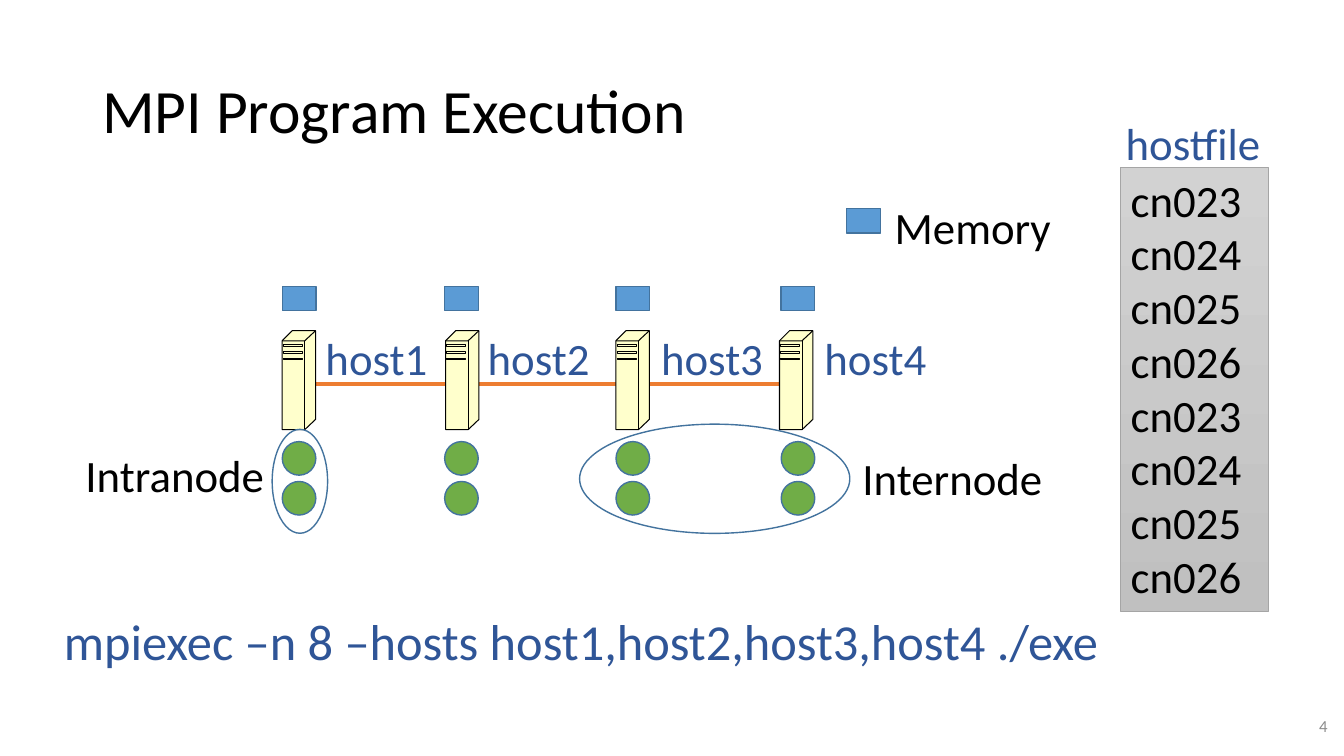
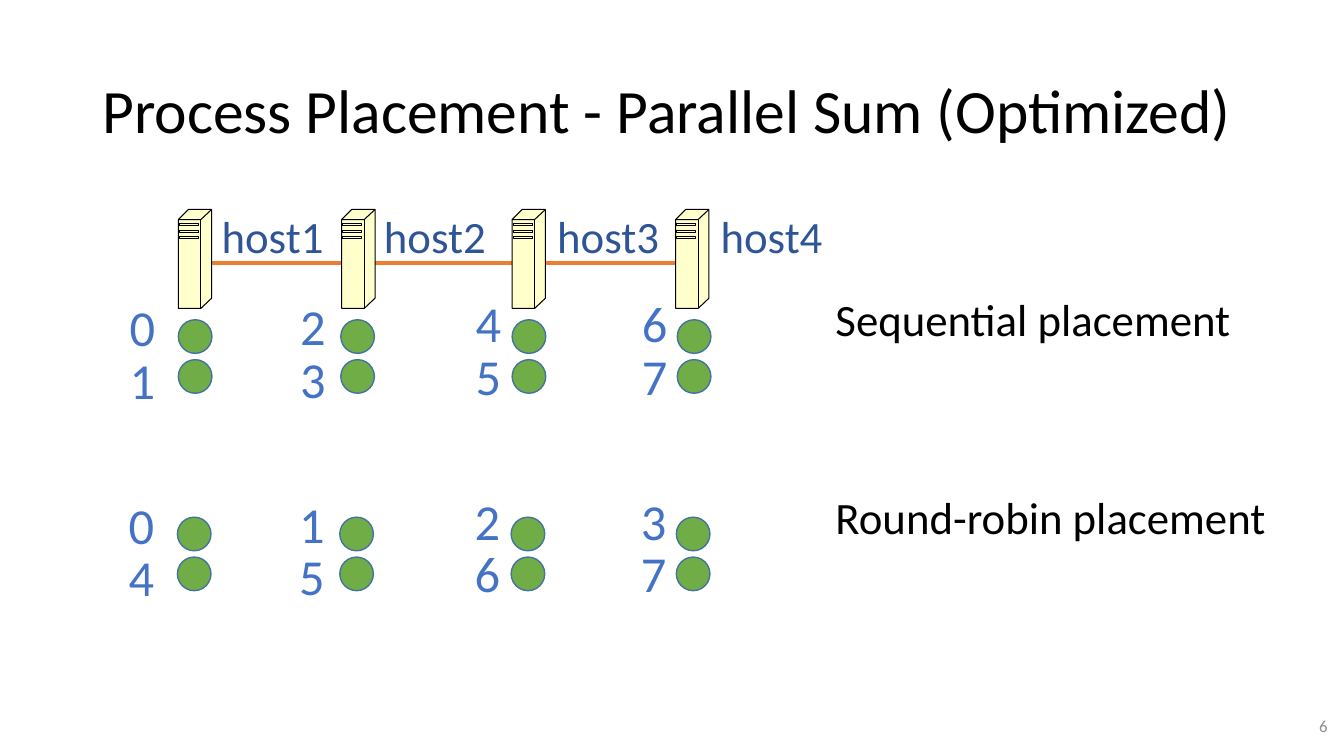
"""Build two slides on running and placing MPI processes."""
from dataclasses import dataclass

from pptx import Presentation
from pptx.dml.color import RGBColor
from pptx.enum.shapes import MSO_CONNECTOR, MSO_SHAPE
from pptx.enum.text import MSO_ANCHOR, MSO_AUTO_SIZE, PP_ALIGN
from pptx.oxml.xmlchemy import OxmlElement
from pptx.util import Pt


@dataclass(frozen=True)
class Theme:
    """Hold the colours and type sizes of the deck."""
    font: str = "Calibri"
    ink: str = "000000"
    navy: str = "2F5597"
    blue: str = "4472C4"
    mute: str = "8C8C8C"
    edge: str = "43739E"
    mem: str = "5B9BD5"
    proc: str = "70AD47"
    link: str = "ED7D31"
    case: str = "FFFFCC"
    pale: str = "D2D2D2"
    grey: str = "C0C0C0"
    rim: str = "A5A5A5"
    head: int = 44
    big: int = 36
    body: int = 32
    small: int = 12


@dataclass(frozen=True)
class Host:
    """Hold the offsets of one host's parts from the row's left edge."""
    case: float
    dot: float
    tag: float
    num: float
    rise: float


T = Theme()
HOSTS = (
    Host(0, 0, 23.8, -41.8, 20.2),
    Host(116.7, 116, 139.7, 79.9, 20.9),
    Host(238.4, 238.4, 263.5, 205.2, 23),
    Host(355.2, 356.4, 380.2, 324, 23),
)
CHIP = (24, 17.5)
DOT = 24
STEP = 28.5
CASE = ((0, 7.2), (7.2, 0), (23.8, 0), (23.8, 63.4), (16.2, 70.6), (0, 70.6))
SEAMS = (
    ((0, 7.2), (16.1, 7.2), (23.8, 0)),
    ((16.1, 7.2), (16.1, 70.6)),
) + tuple(
    ((0.9, y), (14.4, y), (14.4, y + 1.3), (0.9, y + 1.3), (0.9, y))
    for y in (10.2, 14.9, 19.6)
)


def put(obj, vals):
    """Set each attribute named in a dict of format values."""
    for key, val in vals.items():
        setattr(obj, key, val)


def paint(fill, tone):
    """Fill with a plain colour, or with nothing."""
    if tone:
        fill.solid()
        fill.fore_color.rgb = RGBColor.from_string(tone)
    else:
        fill.background()


def trim(shape, tone, edge, width):
    """Give a shape its fill and line and drop its shadow."""
    shape.shadow.inherit = False
    paint(shape.fill, tone)
    paint(shape.line.fill, edge)
    shape.line.width = Pt(width)


def write(frame, lines, size, tone, form=None, para=None):
    """Write lines of text into a frame, one paragraph each."""
    put(frame, {"word_wrap": True, "vertical_anchor": MSO_ANCHOR.TOP, **(form or {})})
    for num, line in enumerate(lines):
        part = frame.add_paragraph() if num else frame.paragraphs[0]
        put(part, {"alignment": PP_ALIGN.LEFT, **(para or {})})
        run = part.add_run()
        run.text = line
        put(run.font, {"name": T.font, "size": Pt(size)})
        run.font.color.rgb = RGBColor.from_string(tone)


def label(slide, text, box, size=T.body, tone=T.ink, form=None, para=None):
    """Add a text box with one line."""
    frame = slide.shapes.add_textbox(*map(Pt, box)).text_frame
    write(frame, [text], size, tone, form, para)


def block(slide, kind, box, tone=None, edge=T.edge, width=1):
    """Add a preset shape."""
    shape = slide.shapes.add_shape(kind, *map(Pt, box))
    trim(shape, tone, edge, width)
    return shape


def trace(slide, left, top, runs, tone=None, close=False):
    """Add an outline made of one or more runs of points."""
    runs = [[(Pt(left + x), Pt(top + y)) for x, y in run] for run in runs]
    pen = slide.shapes.build_freeform(*runs[0][0], scale=1.0)
    for num, run in enumerate(runs):
        if num:
            pen.move_to(*run[0])
        pen.add_line_segments(run[1:], close=close)
    trim(pen.convert_to_shape(), tone, T.ink, 0.75)


def wire(slide, start, end, top):
    """Add the level line that links the hosts."""
    line = slide.shapes.add_connector(
        MSO_CONNECTOR.STRAIGHT, *map(Pt, (start, top, end, top)))
    paint(line.line.fill, T.link)
    line.line.width = Pt(3)
    line._element.spPr.append(OxmlElement("a:effectLst"))


def rack(slide, left, top):
    """Draw the row of linked hosts with their names."""
    wire(slide, left, left + HOSTS[-1].case + 23.8, top + 38.2)
    for num, host in enumerate(HOSTS, 1):
        trace(slide, left + host.case, top, [CASE], T.case, True)
        trace(slide, left + host.case, top, SEAMS)
        label(slide, f"host{num}", (left + host.tag, top - 3.8, 96, 46), tone=T.navy)


def dots(slide, left, top):
    """Draw two processes below each host."""
    for host in HOSTS:
        for row in range(2):
            box = (left + host.dot, top + row * STEP, DOT, DOT)
            block(slide, MSO_SHAPE.OVAL, box, T.proc)


def ranks(slide, left, top, pairs):
    """Number the two processes of each host."""
    for host, pair in zip(HOSTS, pairs):
        for row, rank in enumerate(pair):
            box = (left + host.num, top - host.rise + row * 37.4, 33, 51)
            label(slide, str(rank), box, T.big, T.blue)


def page(deck, title, num):
    """Add a blank slide with its title and number."""
    slide = deck.slides.add_slide(deck.slide_layouts[6])
    mid = {"vertical_anchor": MSO_ANCHOR.MIDDLE}
    label(slide, title, (66, 29, 828, 104), T.head, form=mid, para={"line_spacing": 0.9})
    label(slide, str(num), (739.5, 504, 216, 28.8), T.small, T.mute, mid,
          {"alignment": PP_ALIGN.RIGHT})
    return slide


def listing(slide, names):
    """Draw the host file with its entries."""
    card = block(slide, MSO_SHAPE.RECTANGLE, (800.6, 119.5, 105.4, 317.5),
                 edge=T.rim, width=0.5)
    card.fill.gradient()
    card.fill.gradient_angle = 270
    for stop, tone in zip(card.fill.gradient_stops, (T.pale, T.grey)):
        stop.color.rgb = RGBColor.from_string(tone)
    write(card.text_frame, names, T.body, T.ink,
          {"auto_size": MSO_AUTO_SIZE.SHAPE_TO_FIT_TEXT})
    label(slide, "hostfile", (797, 79.2, 151, 46), tone=T.navy)


def launch(deck):
    """Build the slide on running a program."""
    slide = page(deck, "MPI Program Execution", 4)
    left, top = 201.6, 236.2
    rack(slide, left, top)
    for host in HOSTS:
        block(slide, MSO_SHAPE.RECTANGLE, (left + host.dot, 204.5, *CHIP), T.mem)
    block(slide, MSO_SHAPE.RECTANGLE, (604.8, 149, *CHIP), T.mem)
    dots(slide, left, top + 79.2)
    for box in ((414, 303, 193, 78), (194.4, 306.7, 39.6, 74.2)):
        block(slide, MSO_SHAPE.OVAL, box)
    for text, box in (
        ("Memory", (632, 139, 163, 46)),
        ("Internode", (609, 318.5, 180, 46)),
        ("Intranode", (54, 316, 180, 46)),
    ):
        label(slide, text, box)
    label(slide, "mpiexec –n 8 –hosts host1,host2,host3,host4 ./exe",
          (35.3, 432, 760, 51), T.big, T.navy, para={"alignment": PP_ALIGN.CENTER})
    listing(slide, [f"cn{num:03}" for num in range(23, 27)] * 2)


def place(deck):
    """Build the slide on placing processes."""
    slide = page(deck, "Process Placement - Parallel Sum (Optimized)", 6)
    rack(slide, 127.4, 149.6)
    for text, left, top, pairs in (
        ("Sequential placement", 127.4, 228.4, [(2 * n, 2 * n + 1) for n in range(4)]),
        ("Round-robin placement", 126.7, 369.4, [(n, n + 4) for n in range(4)]),
    ):
        dots(slide, left, top)
        ranks(slide, left, top, pairs)
        label(slide, text, (589.7, top - 23.4, 330, 46))


def main():
    """Build and save the deck."""
    deck = Presentation()
    put(deck, {"slide_width": Pt(960), "slide_height": Pt(540)})
    launch(deck)
    place(deck)
    deck.save("out.pptx")


if __name__ == "__main__":
    main()
